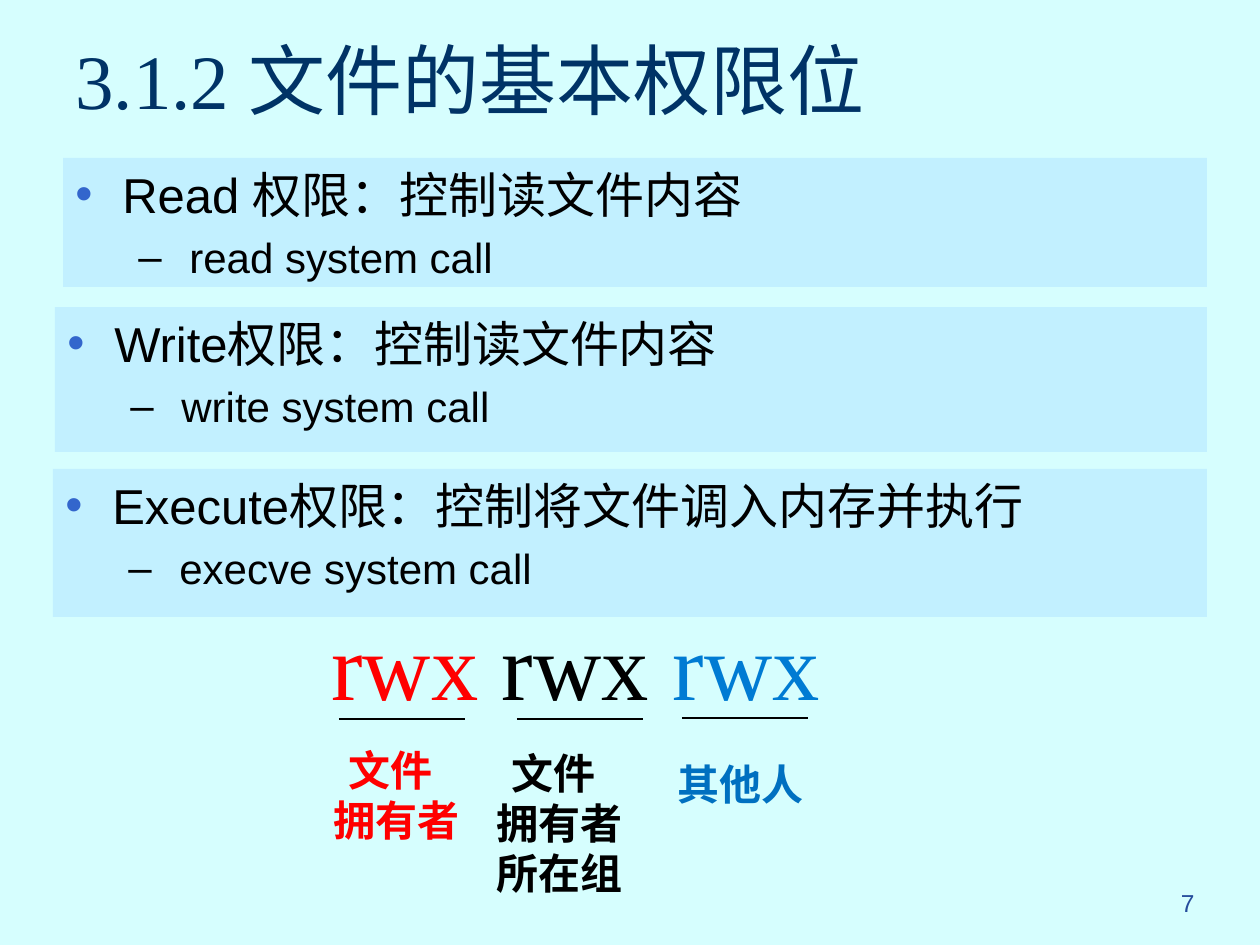
from dataclasses import dataclass

from lxml.etree import SubElement
from pptx import Presentation
from pptx.dml.color import RGBColor as Rgb
from pptx.enum.shapes import MSO_CONNECTOR as Wire, MSO_SHAPE as Form
from pptx.enum.text import MSO_ANCHOR as Anchor, PP_ALIGN as Align
from pptx.oxml.ns import qn
from pptx.util import Pt

PX = 914400 // 126  # EMU in one px


@dataclass(frozen=True)
class Theme:
    back: str = "D6FEFE"
    panel: str = "C2F0FF"
    title: str = "003366"
    dot: str = "3366CC"
    page: str = "254C9C"
    ink: str = "000000"
    red: str = "FF0000"
    sky: str = "007BD3"
    blue: str = "0070C0"
    sans: str = "Arial"
    serif: str = "Times New Roman"
    head: int = 44
    mode: int = 54
    item: int = 28
    sub: int = 24
    note: int = 14


T = Theme()

TITLE = "3.1.2 文件的基本权限位"
PAGE = "7"
# box, item, system call
RIGHTS = [
    ((63, 158, 1144, 129), "Read 权限：控制读文件内容", "read system call"),
    ((55, 307, 1152, 145), "Write权限：控制读文件内容", "write system call"),
    ((53, 469, 1154, 148), "Execute权限：控制将文件调入内存并执行", "execve system call"),
]
MODES = [("rwx", T.red), (" rwx ", T.ink), ("rwx", T.sky)]
# box, lines, colour, start of the rule above
OWNERS = [
    ((321, 738, 154, 115), ["文件", "拥有者"], T.red, (339, 719)),
    ((484, 741, 154, 165), ["文件", "拥有者所在组"], T.ink, (517, 719)),
    ((650, 752, 179, 63), ["其他人"], T.blue, (682, 718)),
]
RULE = 126  # length of each rule
STEP = 15  # first-line indent of the owner labels


def emu(*nums):
    return [n * PX for n in nums]


def write(frame, runs, size, font=T.sans, bold=False, align=Align.LEFT,
          gap=0, left=0, first=0, mark=None, tint=T.ink):
    """Add one paragraph; runs is a list of (text, colour)."""
    para = frame.paragraphs[0]
    if para.runs:
        para = frame.add_paragraph()
    para.alignment = align
    para.space_before = Pt(gap)
    props = para._p.get_or_add_pPr()
    props.set("marL", str(left * PX))
    props.set("indent", str(first * PX))
    if mark:
        hue = SubElement(props, qn("a:buClr"))
        SubElement(hue, qn("a:srgbClr")).set("val", tint)
        SubElement(props, qn("a:buFont")).set("typeface", T.sans)
        SubElement(props, qn("a:buChar")).set("char", mark)
    for text, color in runs:
        run = para.add_run()
        run.text = text
        run.font.size = Pt(size)
        run.font.name = font
        run.font.bold = bold
        run.font.color.rgb = Rgb.from_string(color)


def frame_at(slide, box, anchor=Anchor.TOP):
    frame = slide.shapes.add_textbox(*emu(*box)).text_frame
    frame.word_wrap = True
    frame.vertical_anchor = anchor
    return frame


def add_panel(slide, box, item, call):
    rect = slide.shapes.add_shape(Form.RECTANGLE, *emu(*box))
    rect.shadow.inherit = False
    rect.fill.solid()
    rect.fill.fore_color.rgb = Rgb.from_string(T.panel)
    rect.line.fill.background()
    frame = rect.text_frame
    frame.word_wrap = True
    frame.vertical_anchor = Anchor.TOP
    write(frame, [(item, T.ink)], T.item, left=47, first=-47, mark="•", tint=T.dot)
    write(frame, [(call, T.ink)], T.sub, gap=4.8, left=114, first=-51, mark="–")


def add_rule(slide, x, y):
    rule = slide.shapes.add_connector(Wire.STRAIGHT, *emu(x, y, x + RULE, y))
    rule.line.width = Pt(0.75)
    rule.line.color.rgb = Rgb.from_string(T.ink)
    SubElement(rule._element.spPr, qn("a:effectLst"))


def main():
    deck = Presentation()
    deck.slide_width, deck.slide_height = emu(1260, 945)
    slide = deck.slides.add_slide(deck.slide_layouts[6])
    slide.background.fill.solid()
    slide.background.fill.fore_color.rgb = Rgb.from_string(T.back)

    write(frame_at(slide, (945, 882, 262, 63)), [(PAGE, T.page)], T.note,
          align=Align.RIGHT)
    write(frame_at(slide, (63, 0, 1134, 158), Anchor.MIDDLE), [(TITLE, T.title)],
          T.head, font=T.serif)
    for right in RIGHTS:
        add_panel(slide, *right)

    write(frame_at(slide, (319, 600, 631, 127)), MODES, T.mode, font=T.serif)
    for box, lines, color, start in OWNERS:
        add_rule(slide, *start)
        frame = frame_at(slide, box)
        for i, line in enumerate(lines):
            write(frame, [(line, color)], T.sub, font=T.serif, bold=True,
                  first=0 if i else STEP)
    deck.save("out.pptx")


if __name__ == "__main__":
    main()
